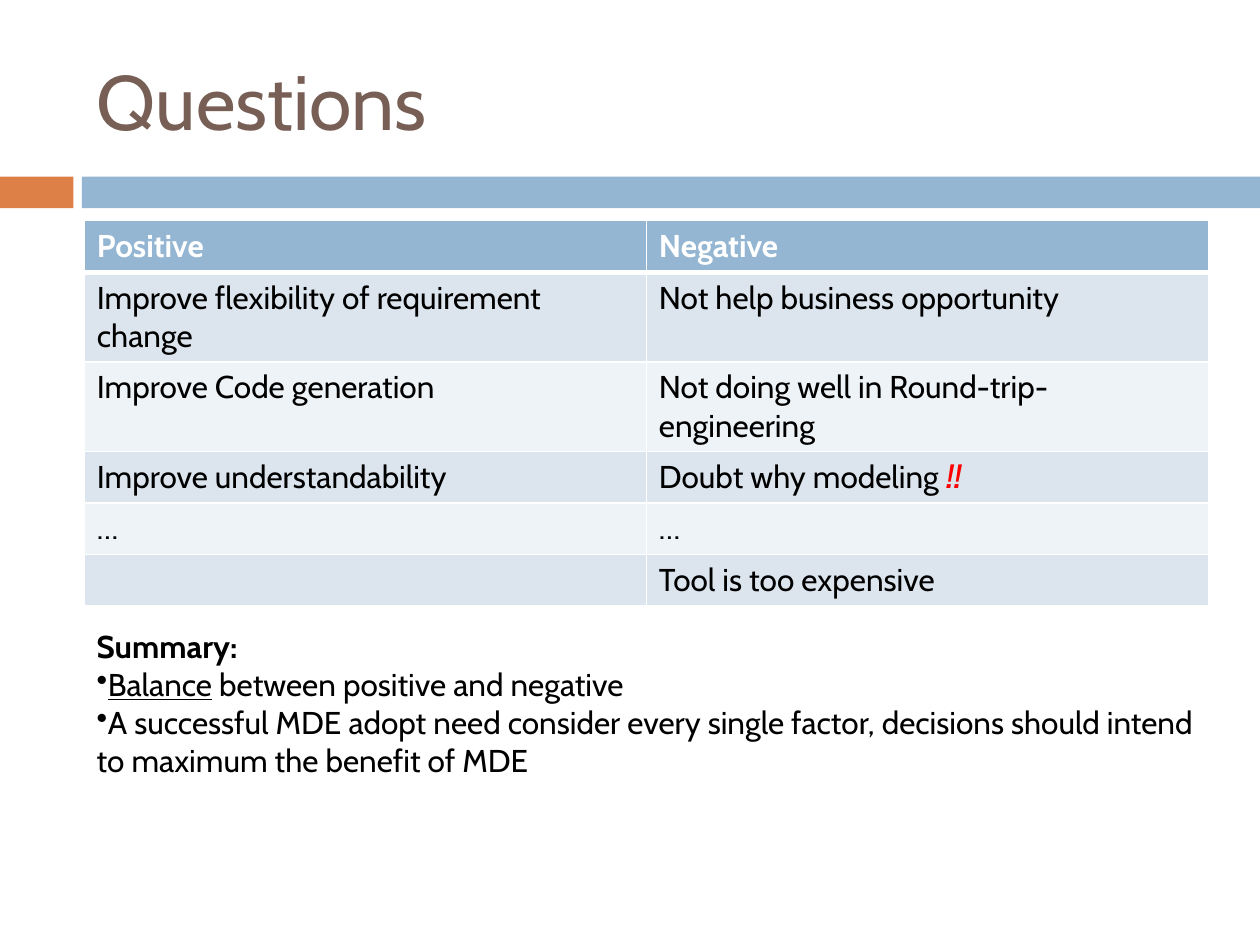
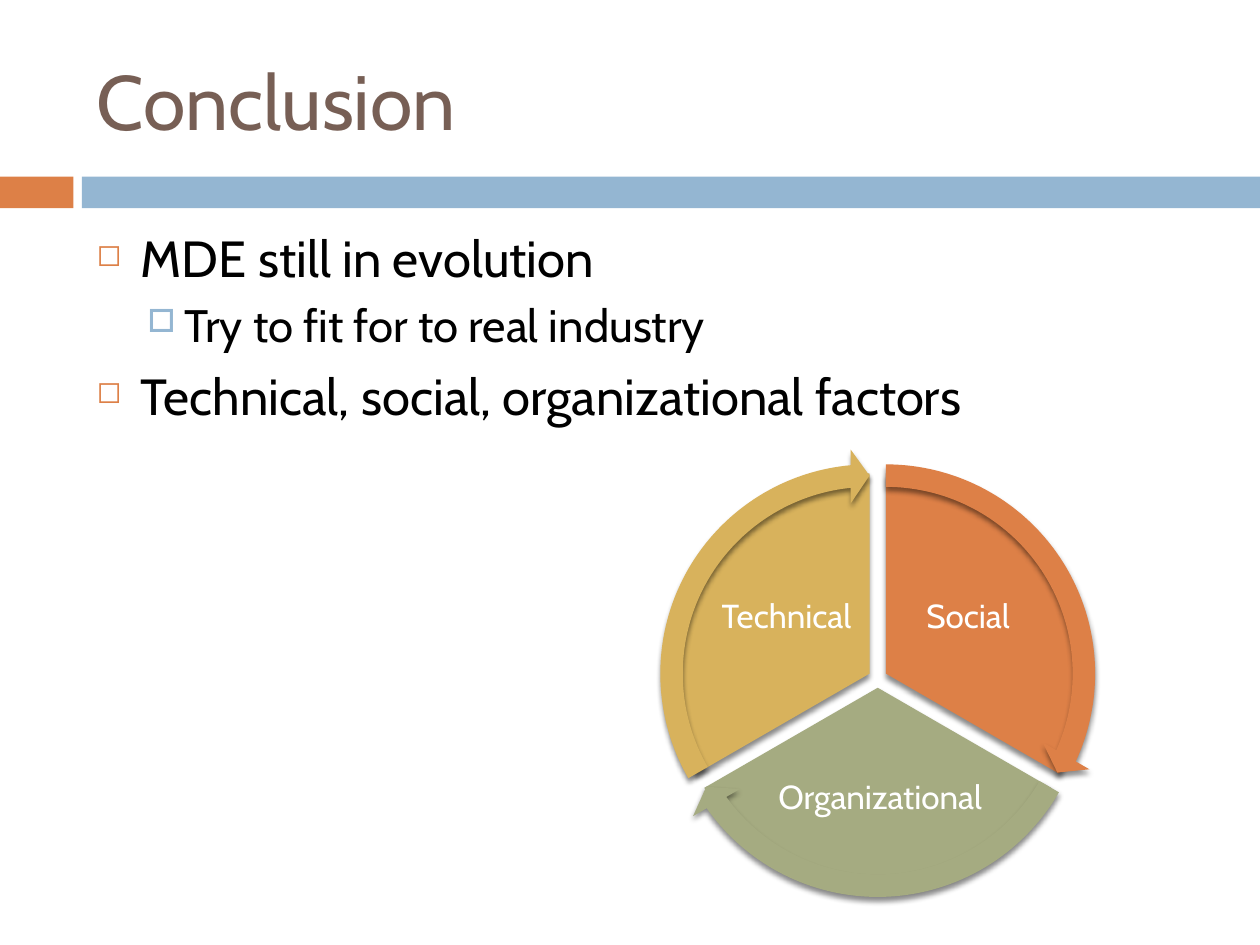
from dataclasses import dataclass
from math import cos, radians, sin

from lxml.etree import SubElement
from pptx import Presentation
from pptx.dml.color import RGBColor
from pptx.enum.shapes import MSO_SHAPE
from pptx.enum.text import MSO_ANCHOR, PP_ALIGN
from pptx.oxml import parse_xml
from pptx.oxml.ns import nsdecls, qn
from pptx.util import Cm, Pt


@dataclass(frozen=True)
class Theme:
    """Colours, font and type sizes of the deck."""
    font: str = "Cabin"
    title: str = "775F55"
    text: str = "000000"
    white: str = "FFFFFF"
    alert: str = "FF0000"
    orange: str = "DD8047"
    blue: str = "94B6D2"
    green: str = "A5AB81"
    gold: str = "D8B25C"
    rows: tuple = ("DCE5EE", "EEF3F7")
    title_size: float = 44
    point_size: float = 29
    subpoint_size: float = 26
    label_size: float = 19
    text_size: float = 18


T = Theme()
TITLE_BOX = (1.7, 0.64, 22.66, 2.74)
BANDS = ((T.orange, (0, 3.56, 1.48, 0.64)), (T.blue, (1.65, 3.56, 23.75, 0.64)))
TABLE_BOX = (1.7, 4.45, 22.66, 6.24)
SUMMARY_BOX = (1.7, 12.52, 23.19, 3.33)
POINTS_BOX = (1.7, 4.45, 22.66, 12.5)
CYCLE_BOX = (13.16, 9.14, 9.07, 9.07)

FACTORS = (
    ("Positive", "Negative"),
    ("Improve flexibility of requirement change", "Not help business opportunity"),
    ("Improve Code generation", "Not doing well in Round-trip-engineering"),
    ("Improve understandability",
     [("Doubt why modeling ", {}),
      ("!!", {"bold": True, "italic": True, "color": T.alert})]),
    ("…", "…"),
    ("", "Tool is too expensive"),
)
SUMMARY = (
    ([("Summary:", {"bold": True})], None),
    ([("Balance", {"underline": True}), (" between positive and negative", {})], "•"),
    ("A successful MDE adopt need consider every single factor, "
     "decisions should intend to maximum the benefit of MDE", "•"),
)
POINT = {"size": T.point_size, "before": 7, "char": "◻", "color": T.orange,
         "percent": 60, "left": 0.89, "hang": 0.89}
SUBPOINT = {"size": T.subpoint_size, "before": 5.5, "char": "□", "color": T.blue,
            "percent": 70, "left": 1.78, "hang": 0.76}
POINTS = (
    ("MDE still in evolution", POINT),
    ("Try to fit for to real industry", SUBPOINT),
    ("Technical, social, organizational factors", POINT),
)
SECTORS = (
    ("Social", T.orange, 270, (1.82, -1.23), (2.87, 2.39)),
    ("Organizational", T.green, 30, (0.05, 2.43), (4.32, 2.11)),
    ("Technical", T.gold, 150, (-1.84, -1.23), (2.87, 2.39)),
)


def place(box):
    """Turn a box in centimetres into lengths."""
    return [Cm(v) for v in box]


def centred(cx, cy, w, h):
    """Give the box of a size around a centre."""
    return cx - w / 2, cy - h / 2, w, h


def write(p, content, size, color=T.text, **fmt):
    """Add a string or a list of formatted runs to a paragraph."""
    runs = [(content, {})] if isinstance(content, str) else content
    for text, extra in runs:
        r = p.add_run()
        r.text = text
        values = {"name": T.font, "size": Pt(size), "color": color, **fmt, **extra}
        r.font.color.rgb = RGBColor.from_string(values.pop("color"))
        for name, value in values.items():
            setattr(r.font, name, value)


def add_bullet(p, char, left=0, hang=0, color=None, percent=None):
    """Give a paragraph a bullet and its indent."""
    pPr = p._p.get_or_add_pPr()
    pPr.set("marL", str(Cm(left)))
    pPr.set("indent", str(-Cm(hang)))
    if color:
        SubElement(SubElement(pPr, qn("a:buClr")), qn("a:srgbClr"), val=color)
    if percent:
        SubElement(pPr, qn("a:buSzPct"), val=str(percent * 1000))
    SubElement(pPr, qn("a:buChar"), char=char)


def add_textbox(slide, box, **fmt):
    """Add a wrapping text box and return its frame."""
    tf = slide.shapes.add_textbox(*place(box)).text_frame
    for name, value in {"word_wrap": True, **fmt}.items():
        setattr(tf, name, value)
    return tf


def paragraphs(tf, count):
    """Give a number of paragraphs in an empty frame."""
    return [tf.paragraphs[0]] + [tf.add_paragraph() for _ in range(count - 1)]


def add_solid(slide, kind, box, color):
    """Add a plain filled shape without a line."""
    sp = slide.shapes.add_shape(kind, *place(box))
    sp.shadow.inherit = False
    sp.fill.solid()
    sp.fill.fore_color.rgb = RGBColor.from_string(color)
    sp.line.fill.background()
    return sp


def add_slide(prs, title):
    """Add a slide with the shared title style and bands."""
    slide = prs.slides.add_slide(prs.slide_layouts[5])
    for color, box in BANDS:
        add_solid(slide, MSO_SHAPE.RECTANGLE, box, color)
    sp = slide.shapes.title
    sp.left, sp.top, sp.width, sp.height = place(TITLE_BOX)
    tf = sp.text_frame
    tf.vertical_anchor = MSO_ANCHOR.MIDDLE
    p = tf.paragraphs[0]
    p.alignment = PP_ALIGN.LEFT
    write(p, title, T.title_size, T.title)
    return slide


def set_borders(cell, bottom):
    """Draw white cell borders with a given bottom width."""
    tcPr = cell._tc.get_or_add_tcPr()
    for i, (side, width) in enumerate(zip("LRTB", (1, 1, 1, bottom))):
        tcPr.insert(i, parse_xml(
            f'<a:ln{side} {nsdecls("a")} w="{Pt(width)}"><a:solidFill>'
            f'<a:srgbClr val="{T.white}"/></a:solidFill></a:ln{side}>'))


def add_factor_table(slide, box):
    """Add the table of positive and negative factors."""
    table = slide.shapes.add_table(len(FACTORS), len(FACTORS[0]), *place(box)).table
    for i, row in enumerate(FACTORS):
        header = i == 0
        for j, content in enumerate(row):
            cell = table.cell(i, j)
            cell.fill.solid()
            fill = T.blue if header else T.rows[(i - 1) % 2]
            cell.fill.fore_color.rgb = RGBColor.from_string(fill)
            set_borders(cell, 3 if header else 1)
            if content:
                write(cell.text_frame.paragraphs[0], content, T.text_size,
                      T.white if header else T.text, bold=header)


def add_summary(slide, box):
    """Add the summary below the table."""
    tf = add_textbox(slide, box)
    for p, (content, char) in zip(paragraphs(tf, len(SUMMARY)), SUMMARY):
        if char:
            add_bullet(p, char)
        write(p, content, T.text_size)


def add_points(slide, box):
    """Add the two-level list of points."""
    tf = add_textbox(slide, box)
    for p, (text, level) in zip(paragraphs(tf, len(POINTS)), POINTS):
        bullet = dict(level)
        size = bullet.pop("size")
        p.space_before = Pt(bullet.pop("before"))
        add_bullet(p, **bullet)
        write(p, text, size)


def add_cycle_part(slide, kind, box, color, adjustments):
    """Add a shadowed part of the cycle."""
    sp = add_solid(slide, kind, box, color)
    for i, value in enumerate(adjustments):
        sp.adjustments[i] = value
    effects = sp._element.spPr.find(qn("a:effectLst"))
    shadow = SubElement(effects, qn("a:outerShdw"), blurRad=str(Pt(3)),
                        dist=str(Pt(2.4)), dir="5400000", rotWithShape="0")
    black = SubElement(shadow, qn("a:srgbClr"), val="000000")
    SubElement(black, qn("a:alpha"), val="45000")


def add_cycle(slide, box, gap=0.19, head=3.28):
    """Add three pie sectors, their labels and the arrows around them."""
    x, y, w, h = box
    cx, cy = x + w / 2, y + h / 2
    arrows = []
    for text, color, angle, (dx, dy), size in SECTORS:
        middle = radians(angle + 60)
        centre = cx + gap * cos(middle), cy + gap * sin(middle)
        start, end = angle * 0.6, (angle + 120) % 360 * 0.6
        pie = centred(*centre, w * 0.89, h * 0.89)
        add_cycle_part(slide, MSO_SHAPE.PIE, pie, color, (start, end))
        arrows.append((centred(*centre, w, h), color,
                       (0.05, head, end - head, start, 0.06)))
        margins = {f"margin_{side}": Cm(0.08)
                   for side in ("left", "right", "top", "bottom")}
        tf = add_textbox(slide, centred(cx + dx, cy + dy, *size),
                         vertical_anchor=MSO_ANCHOR.MIDDLE, **margins)
        p = tf.paragraphs[0]
        p.alignment = PP_ALIGN.CENTER
        p.line_spacing = 0.9
        write(p, text, T.label_size, T.white)
    for arrow in arrows:
        add_cycle_part(slide, MSO_SHAPE.CIRCULAR_ARROW, *arrow)


def build_questions(prs):
    """Build the slide of questions."""
    slide = add_slide(prs, "Questions")
    add_factor_table(slide, TABLE_BOX)
    add_summary(slide, SUMMARY_BOX)


def build_conclusion(prs):
    """Build the slide of conclusions."""
    slide = add_slide(prs, "Conclusion")
    add_points(slide, POINTS_BOX)
    add_cycle(slide, CYCLE_BOX)


def main():
    """Build and save the deck."""
    prs = Presentation()
    prs.slide_width, prs.slide_height = Cm(25.4), Cm(19.05)
    build_questions(prs)
    build_conclusion(prs)
    prs.save("out.pptx")


if __name__ == "__main__":
    main()
